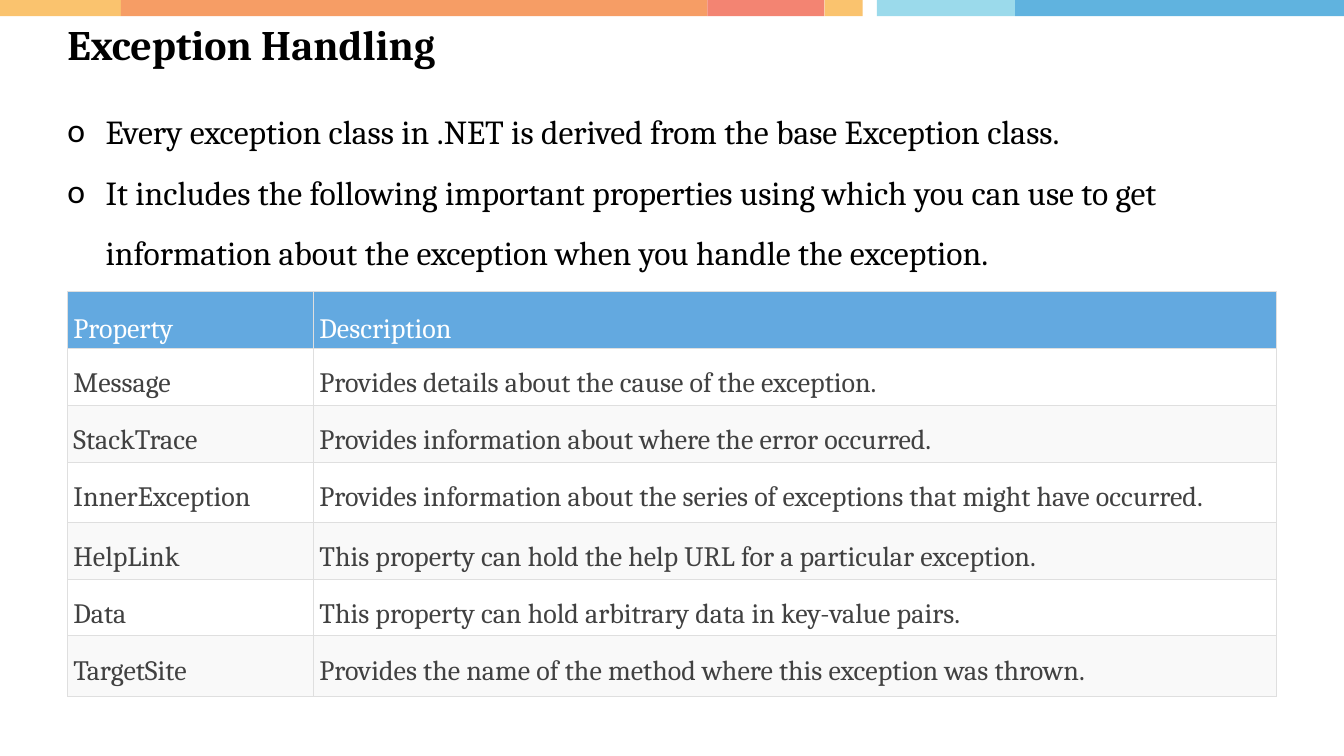
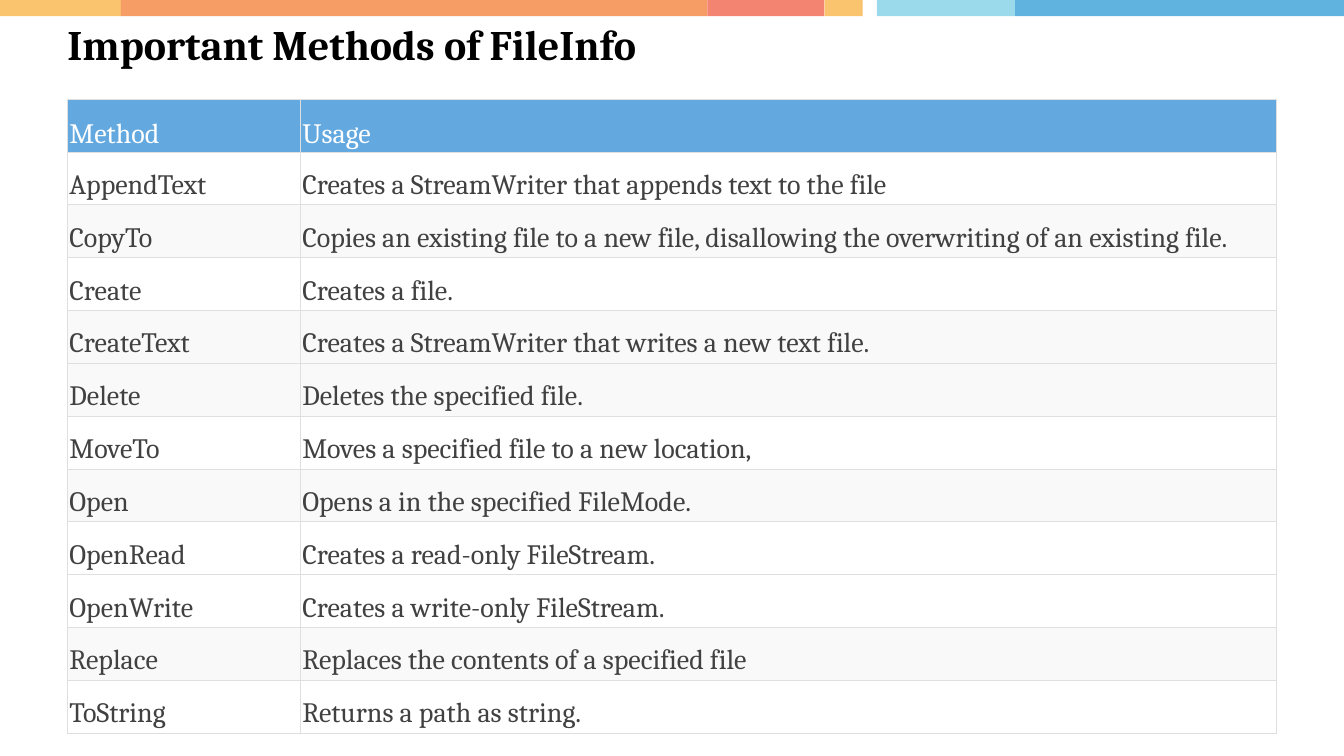
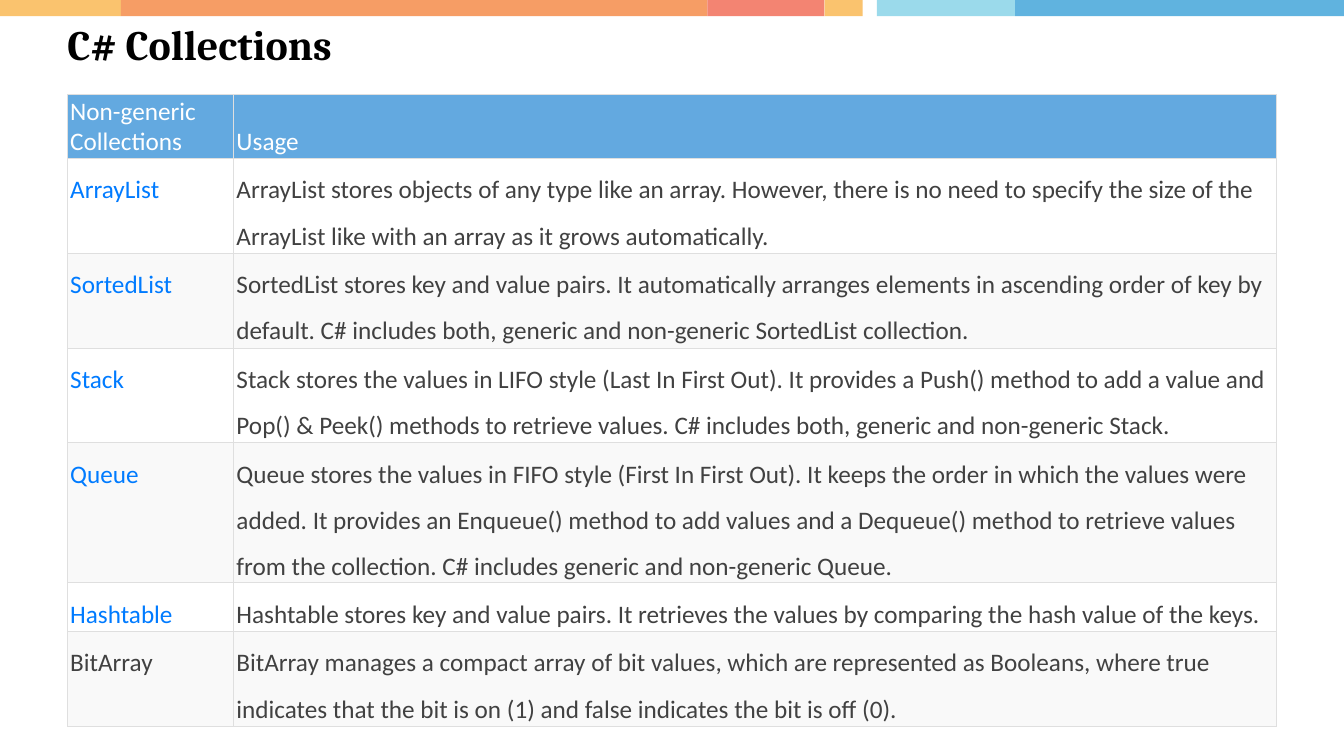
from lxml.etree import SubElement
from pptx import Presentation
from pptx.dml.color import RGBColor
from pptx.enum.shapes import MSO_SHAPE
from pptx.enum.text import MSO_ANCHOR
from pptx.oxml.ns import qn
from pptx.util import Cm, Pt

LEFT, WIDTH = 1.7, 30.48
BLACK, WHITE, GREY = "000000", "FFFFFF", "F9F9F9"
HEAD, TEXT, LINK, RULE = "63A9E0", "414141", "007BFF", "DFDFDF"
# Left edge, right edge and colour of each piece of the top band
BAND = [
    (0, 3.05, "FAC36E"), (3.05, 17.83, "F69D65"), (17.83, 20.78, "F38472"),
    (20.78, 21.74, "FAC36E"), (22.1, 25.58, "9BDAEB"), (25.58, 33.87, "60B3DF"),
]


def paint(fill, color):
    fill.solid()
    fill.fore_color.rgb = RGBColor.from_string(color)


def write(frame, text, size=20, font="Cambria", color=BLACK, bold=False,
          space=None, bullet=None):
    """Fill a text frame, one paragraph per line of text."""
    frame.word_wrap = True
    frame.text = text
    for para in frame.paragraphs:
        para.line_spacing = space
        para.font.size, para.font.name, para.font.bold = Pt(size), font, bold
        para.font.color.rgb = RGBColor.from_string(color)
        for run in para.runs:
            run.font.size, run.font.name, run.font.bold = Pt(size), font, bold
            run.font.color.rgb = RGBColor.from_string(color)
        if bullet:
            props = para._p.get_or_add_pPr()
            props.set("marL", str(Cm(0.96)))
            props.set("indent", str(-Cm(0.96)))
            face = SubElement(props, qn("a:buFont"))
            face.set("typeface", "Calibri")
            SubElement(props, qn("a:buChar")).set("char", bullet)
            props.append(props.find(qn("a:defRPr")))


def add_text(slide, text, left, top, width, height, **style):
    frame = slide.shapes.add_textbox(
        Cm(left), Cm(top), Cm(width), Cm(height)).text_frame
    frame.margin_left = frame.margin_right = 0
    frame.margin_top = frame.margin_bottom = 0
    write(frame, text, **style)


def border(cell):
    props = cell._tc.get_or_add_tcPr()
    for side in ("lnL", "lnR", "lnT", "lnB"):
        line = SubElement(props, qn("a:" + side), w=str(Pt(0.75)))
        fill = SubElement(line, qn("a:solidFill"))
        SubElement(fill, qn("a:srgbClr"), val=RULE)


def add_grid(slide, rows, top, first, heights, pad, shaded, links=(),
             font="Cambria", size=20, lead=1.5):
    """Two-column table: first is the width of the left column."""
    grid = slide.shapes.add_table(
        len(rows), 2, Cm(LEFT), Cm(top), Cm(WIDTH), Cm(sum(heights))).table
    grid.horz_banding = grid.first_row = False
    for col, width in zip(grid.columns, (first, WIDTH - first)):
        col.width = Cm(width)
    for i, (row, height) in enumerate(zip(rows, heights)):
        grid.rows[i].height = Cm(height)
        for j, text in enumerate(row):
            cell = grid.cell(i, j)
            cell.margin_left = cell.margin_right = Cm(pad[0])
            cell.margin_top = cell.margin_bottom = Cm(pad[1])
            border(cell)
            if i == 0:
                back, ink, space = HEAD, WHITE, lead
                cell.vertical_anchor = MSO_ANCHOR.BOTTOM
            else:
                back = GREY if i in shaded else WHITE
                ink = LINK if j == 0 and i in links else TEXT
                space = 1.5
            paint(cell.fill, back)
            write(cell.text_frame, text, size=size, font=font, color=ink,
                  space=space)


def add_page(deck, title):
    """Slide with the top band and its title."""
    slide = deck.slides.add_slide(deck.slide_layouts[6])
    for start, end, color in BAND:
        piece = slide.shapes.add_shape(
            MSO_SHAPE.RECTANGLE, Cm(start), 0, Cm(end - start), Cm(0.41))
        piece.shadow.inherit = False
        piece.line.fill.background()
        paint(piece.fill, color)
    add_text(slide, title, LEFT, 0.46, WIDTH, 1.27, size=30, bold=True)
    return slide


deck = Presentation()
deck.slide_width, deck.slide_height = Cm(33.87), Cm(19.05)

# Exception handling
PROPS = [
    ("Property", "Description"),
    ("Message", "Provides details about the cause of the exception."),
    ("StackTrace", "Provides information about where the error occurred."),
    ("InnerException", "Provides information about the series of exceptions "
     "that might have occurred."),
    ("HelpLink", "This property can hold the help URL for a particular exception."),
    ("Data", "This property can hold arbitrary data in key-value pairs."),
    ("TargetSite", "Provides the name of the method where this exception was thrown."),
]
page = add_page(deck, "Exception Handling")
add_text(page, "Every exception class in .NET is derived from the base Exception "
         "class.\nIt includes the following important properties using which you "
         "can use to get information about the exception when you handle the "
         "exception.", LEFT, 2.29, WIDTH, 4.62, size=24, space=1.5, bullet="o")
add_grid(page, PROPS, 7.35, 6.2, [1.37, 1.37, 1.37, 1.52, 1.37, 1.37, 1.52],
         (0.15, 0.08), (2, 4, 6))

# File methods
METHODS = [
    ("Method", "Usage"),
    ("AppendText", "Creates a StreamWriter that appends text to the file"),
    ("CopyTo", "Copies an existing file to a new file, disallowing the "
     "overwriting of an existing file."),
    ("Create", "Creates a file."),
    ("CreateText", "Creates a StreamWriter that writes a new text file."),
    ("Delete", "Deletes the specified file."),
    ("MoveTo", "Moves a specified file to a new location,"),
    ("Open", "Opens a in the specified FileMode."),
    ("OpenRead", "Creates a read-only FileStream."),
    ("OpenWrite", "Creates a write-only FileStream."),
    ("Replace", "Replaces the contents of a specified file"),
    ("ToString", "Returns a path as string."),
]
page = add_page(deck, "Important Methods of FileInfo")
add_grid(page, METHODS, 2.5, 5.87, [1.27] * len(METHODS), (0.05, 0.03),
         (2, 4, 5, 7, 10))

# Collections
KINDS = [
    ("Non-generic Collections", "Usage"),
    ("ArrayList", "ArrayList stores objects of any type like an array. However, "
     "there is no need to specify the size of the ArrayList like with an array "
     "as it grows automatically."),
    ("SortedList", "SortedList stores key and value pairs. It automatically "
     "arranges elements in ascending order of key by default. C# includes both, "
     "generic and non-generic SortedList collection."),
    ("Stack", "Stack stores the values in LIFO style (Last In First Out). It "
     "provides a Push() method to add a value and Pop() & Peek() methods to "
     "retrieve values. C# includes both, generic and non-generic Stack."),
    ("Queue", "Queue stores the values in FIFO style (First In First Out). It "
     "keeps the order in which the values were added. It provides an Enqueue() "
     "method to add values and a Dequeue() method to retrieve values from the "
     "collection. C# includes generic and non-generic Queue."),
    ("Hashtable", "Hashtable stores key and value pairs. It retrieves the values "
     "by comparing the hash value of the keys."),
    ("BitArray", "BitArray manages a compact array of bit values, which are "
     "represented as Booleans, where true indicates that the bit is on (1) and "
     "false indicates the bit is off (0)."),
]
page = add_page(deck, "C# Collections")
add_grid(page, KINDS, 2.39, 4.19, [1.6, 2.39, 2.39, 2.39, 3.52, 1.23, 2.39],
         (0.07, 0.03), (2, 4, 6), links=range(1, 6), font="Calibri", size=18,
         lead=None)

deck.save("out.pptx")
